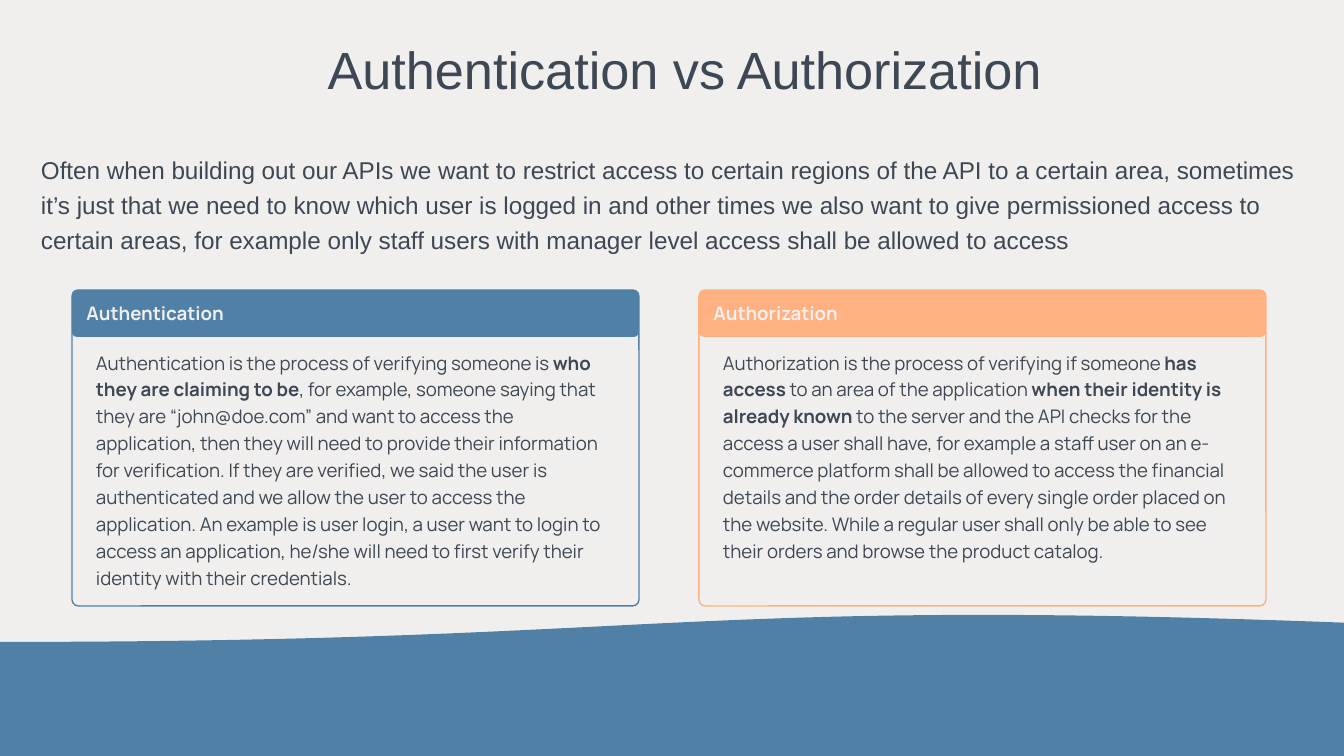
"""Build a slide that compares authentication with authorization."""
from pptx import Presentation
from pptx.dml.color import RGBColor
from pptx.enum.shapes import MSO_SHAPE
from pptx.enum.text import MSO_ANCHOR, PP_ALIGN
from pptx.util import Emu, Pt

INK = RGBColor(0x3E, 0x47, 0x54)
PAPER = RGBColor(0xF0, 0xEF, 0xEE)
BLUE = RGBColor(0x50, 0x80, 0xA6)
ORANGE = RGBColor(0xFF, 0xB1, 0x82)

TITLE = "Authentication vs Authorization"
INTRO = (
    "Often when building out our APIs we want to restrict access to certain regions of the API "
    "to a certain area, sometimes it’s just that we need to know which user is logged in and "
    "other times we also want to give permissioned access to certain areas, for example only "
    "staff users with manager level access shall be allowed to access"
)
CARDS = [
    ("Authentication", BLUE, [
        ("Authentication is the process of verifying someone is ", False),
        ("who they are claiming to be", True),
        (", for example, someone saying that they are “john@doe.com” and want to access the "
         "application, then they will need to provide their information for verification. If "
         "they are verified, we said the user is authenticated and we allow the user to access "
         "the application. An example is user login, a user want to login to access an "
         "application, he/she will need to first verify their identity with their credentials.",
         False),
    ]),
    ("Authorization", ORANGE, [
        ("Authorization is the process of verifying if someone ", False),
        ("has access", True),
        (" to an area of the application ", False),
        ("when their identity is already known", True),
        (" to the server and the API checks for the access a user shall have, for example a "
         "staff user on an e-commerce platform shall be allowed to access the financial details "
         "and the order details of every single order placed on the website. While a regular "
         "user shall only be able to see their orders and browse the product catalog.", False),
    ]),
]

SLIDE_W, SLIDE_H = 1344, 756
CARD_LEFT, CARD_TOP, CARD_W, CARD_H = 72, 290, 567, 316
CARD_GAP, HEADER_H = 60, 47
BODY_INSET, BODY_TOP, BODY_H = 24, 347, 239


def px(length):
    """Turn px into EMU."""
    return Emu(round(length * 914400 / 134.4))


def write(shape, runs, *, size, font="Manrope", color=INK, align=PP_ALIGN.LEFT,
          anchor=MSO_ANCHOR.TOP, inset=(0, 0), spacing=None, after=None):
    """Fill a shape with one paragraph of (text, bold) runs."""
    frame = shape.text_frame
    frame.word_wrap = True
    frame.vertical_anchor = anchor
    frame.margin_left = frame.margin_right = px(inset[0])
    frame.margin_top = frame.margin_bottom = px(inset[1])
    paragraph = frame.paragraphs[0]
    paragraph.alignment = align
    paragraph.line_spacing = spacing
    if after is not None:
        paragraph.space_after = Pt(after)
    for text, bold in runs:
        run = paragraph.add_run()
        run.text = text
        run.font.name = font
        run.font.size = Pt(size)
        run.font.bold = bold
        run.font.color.rgb = color


def add_box(slide, *box):
    """Add an empty text box."""
    return slide.shapes.add_textbox(*map(px, box))


def add_block(slide, preset, box, fill, line=None, corner=None):
    """Add a flat filled shape."""
    block = slide.shapes.add_shape(preset, *map(px, box))
    block.shadow.inherit = False
    block.fill.solid()
    block.fill.fore_color.rgb = fill
    if line is None:
        block.line.fill.background()
    else:
        block.line.color.rgb = line
        block.line.width = Pt(0.75)
    if corner is not None:
        block.adjustments[0] = corner
    return block


def add_card(slide, left, heading, accent, body):
    """Add an outlined card with a coloured header."""
    rounded = MSO_SHAPE.ROUNDED_RECTANGLE
    add_block(slide, rounded, (left, CARD_TOP, CARD_W, CARD_H), PAPER, accent, 0.02)
    header = add_block(slide, rounded, (left, CARD_TOP, CARD_W, HEADER_H), accent, corner=0.11)
    write(header, [(heading, True)], size=10, color=PAPER, anchor=MSO_ANCHOR.MIDDLE,
          inset=(13, 7))
    body_box = add_box(slide, left + BODY_INSET, BODY_TOP, CARD_W - 2 * BODY_INSET, BODY_H)
    write(body_box, body, size=10, spacing=1.2, after=6)


def main():
    """Build and save the slide."""
    deck = Presentation()
    deck.slide_width, deck.slide_height = px(SLIDE_W), px(SLIDE_H)
    slide = deck.slides.add_slide(deck.slide_layouts[6])
    slide.background.fill.solid()
    slide.background.fill.fore_color.rgb = PAPER

    write(add_box(slide, 118, 40, 1133, 65), [(TITLE, False)], size=28, font="Arial",
          align=PP_ALIGN.CENTER, anchor=MSO_ANCHOR.MIDDLE, inset=(9, 5), spacing=0.9)
    wave = add_block(slide, MSO_SHAPE.FLOWCHART_DOCUMENT, (0, 613, SLIDE_W, 146), BLUE)
    wave.rotation = 180
    write(add_box(slide, 41, 149, 1262, 99), [(INTRO, False)], size=13, font="Arial",
          spacing=1.2, after=6)
    for index, card in enumerate(CARDS):
        add_card(slide, CARD_LEFT + index * (CARD_W + CARD_GAP), *card)
    deck.save("out.pptx")


if __name__ == "__main__":
    main()
